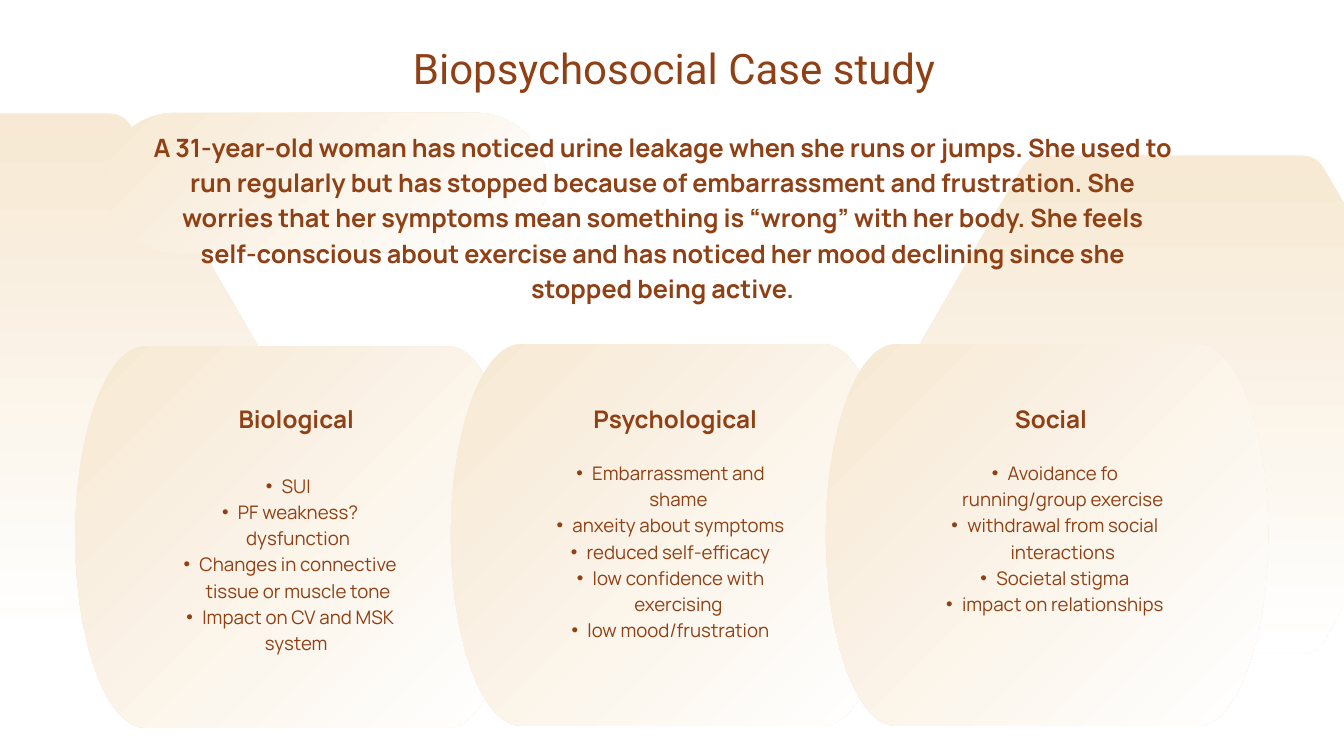
from math import cos, pi, sin

from lxml.etree import SubElement
from pptx import Presentation
from pptx.dml.color import RGBColor as RGB
from pptx.enum.text import MSO_ANCHOR, MSO_AUTO_SIZE, PP_ALIGN
from pptx.oxml.ns import qn
from pptx.util import Inches, Pt

COLORS = {"text": "8F4014", "sand": "F7E9D3", "white": "FFFFFF"}
FRAME = {
    "margin_left": 0, "margin_right": 0, "margin_top": 0, "margin_bottom": 0,
    "word_wrap": True, "vertical_anchor": MSO_ANCHOR.TOP,
    "auto_size": MSO_AUTO_SIZE.SHAPE_TO_FIT_TEXT,
}
STYLES = {
    "title": {"name": "Roboto", "size": Pt(45), "bold": False},
    "story": {"name": "Manrope", "size": Pt(27), "bold": True},
    "head": {"name": "Manrope", "size": Pt(26), "bold": True},
    "list": {"name": "Manrope", "size": Pt(20), "bold": False},
}

deck = Presentation()
deck.slide_width, deck.slide_height = Inches(20), Inches(11.25)
slide = deck.slides.add_slide(deck.slide_layouts[5])


def draw(start, steps, angle):
    """Closed gradient outline; a step is one point (line) or three (curve)."""
    dots = [(Inches(x), Inches(y)) for step in steps for x, y in step]
    pen = slide.shapes.build_freeform(Inches(start[0]), Inches(start[1]))
    pen.add_line_segments(dots, close=True)
    shape = pen.convert_to_shape()
    # Merge the three segments of each curve into one Bézier
    lines = iter(list(shape._element.iter(qn("a:lnTo"))))
    for step in steps:
        group = [next(lines) for _ in step]
        if len(group) == 3:
            group[0].tag = qn("a:cubicBezTo")
            for line in group[1:]:
                group[0].append(line[0])
                line.getparent().remove(line)
    shape.shadow.inherit = False
    shape.line.fill.background()
    shape.fill.gradient()
    shape.fill.gradient_angle = 360 - angle
    for stop, tone in zip(shape.fill.gradient_stops, ("sand", "white")):
        stop.color.rgb = RGB.from_string(COLORS[tone])


def write(box, at, lines, style):
    """Place a box and fill it with centred paragraphs."""
    box.left, box.top, box.width, box.height = map(Inches, at)
    frame = box.text_frame
    for key, value in FRAME.items():
        setattr(frame, key, value)
    for i, line in enumerate(lines):
        para = frame.paragraphs[0] if i == 0 else frame.add_paragraph()
        para.alignment = PP_ALIGN.CENTER
        para.line_spacing = Pt(STYLES[style]["size"].pt * 1.4)
        para.space_before = Pt(0)
        if style == "list":
            para.level = 1
            props = para._p.get_or_add_pPr()
            props.set("marL", str(Pt(34)))
            props.set("indent", str(Pt(-17)))
            SubElement(props, qn("a:buFont")).set("typeface", "Arial")
            SubElement(props, qn("a:buChar")).set("char", "•")
        run = para.add_run()
        run.text = line
        for key, value in STYLES[style].items():
            setattr(run.font, key, value)
        run.font.color.rgb = RGB.from_string(COLORS["text"])


# Background hexagons: centre, radius, rounded corners
CUT, PULL = 0.21, 0.08
for cx, cy, rad in ((-0.43, 5.62, 4.54), (17.45, 6.02, 4.28)):
    tips = [(cx + rad * cos(k * pi / 3), cy + rad * sin(k * pi / 3)) for k in range(6)]
    steps = []
    for k, (x, y) in enumerate(tips):
        (ax, ay), (bx, by) = tips[k - 1], tips[(k + 1) % 6]
        come = [(x + d / rad * (ax - x), y + d / rad * (ay - y)) for d in (CUT, PULL)]
        leave = [(x + d / rad * (bx - x), y + d / rad * (by - y)) for d in (PULL, CUT)]
        steps += [[come[0]], [come[1], *leave]]
    draw(steps[-1][-1], steps, 90)

# Pills: left, top, height; each end is two quarter ellipses
WIDE, END, ARC = 6.58, 1.04, 0.55
pills = [(1.55, 1.68, 2.08), (1.12, 5.15, 5.68), (6.71, 5.12, 5.68), (12.29, 5.12, 5.68)]
outlines = []
for left, top, tall in pills:
    half = tall / 2
    mid = top + half
    steps = []
    for x, side in ((left + WIDE - END, 1), (left + END, -1)):
        rx, ry = side * END, side * half
        steps += [
            [(x, mid - ry)],
            [(x + ARC * rx, mid - ry), (x + rx, mid - ARC * ry), (x + rx, mid)],
            [(x + rx, mid + ARC * ry), (x + ARC * rx, mid + ry), (x, mid + ry)],
        ]
    outlines.append((steps[0][0], steps[1:]))
draw(*outlines[0], 45)

# Title and case story
write(slide.shapes.title, (0.06, 0.51, 19.94, 0.83), ["Biopsychosocial Case study"], "title")
story = (
    "A 31-year-old woman has noticed urine leakage when she runs or jumps. "
    "She used to run regularly but has stopped because of embarrassment and frustration. "
    "She worries that her symptoms mean something is “wrong” with her body. "
    "She feels self-conscious about exercise and has noticed her mood declining "
    "since she stopped being active."
)
write(slide.shapes.add_textbox(0, 0, 0, 0), (2.28, 1.89, 15.16, 2.61), [story], "story")

# Cards: heading, heading left, list place, list lines
cards = [
    ("Biological", 2.49, (2.28, 7.01, 3.84, 2.72),
     ["SUI ", "PF weakness? dysfunction", "Changes in connective tissue or muscle tone",
      "Impact on CV and MSK system "]),
    ("Psychological", 8.13, (7.94, 6.82, 3.84, 3.1),
     ["Embarrassment and shame", "anxeity about symptoms", "reduced self-efficacy",
      "low confidence with exercising", "low mood/frustration"]),
    ("Social", 13.72, (13.66, 6.82, 3.84, 2.33),
     ["Avoidance fo running/group exercise", "withdrawal from social interactions",
      "Societal stigma", "impact on relationships"]),
]
for outline, (head, left, place, lines) in zip(outlines[1:], cards):
    draw(*outline, 45)
    write(slide.shapes.add_textbox(0, 0, 0, 0), (left, 5.94, 3.84, 0.5), [head], "head")
    write(slide.shapes.add_textbox(0, 0, 0, 0), place, lines, "list")

deck.save("out.pptx")
